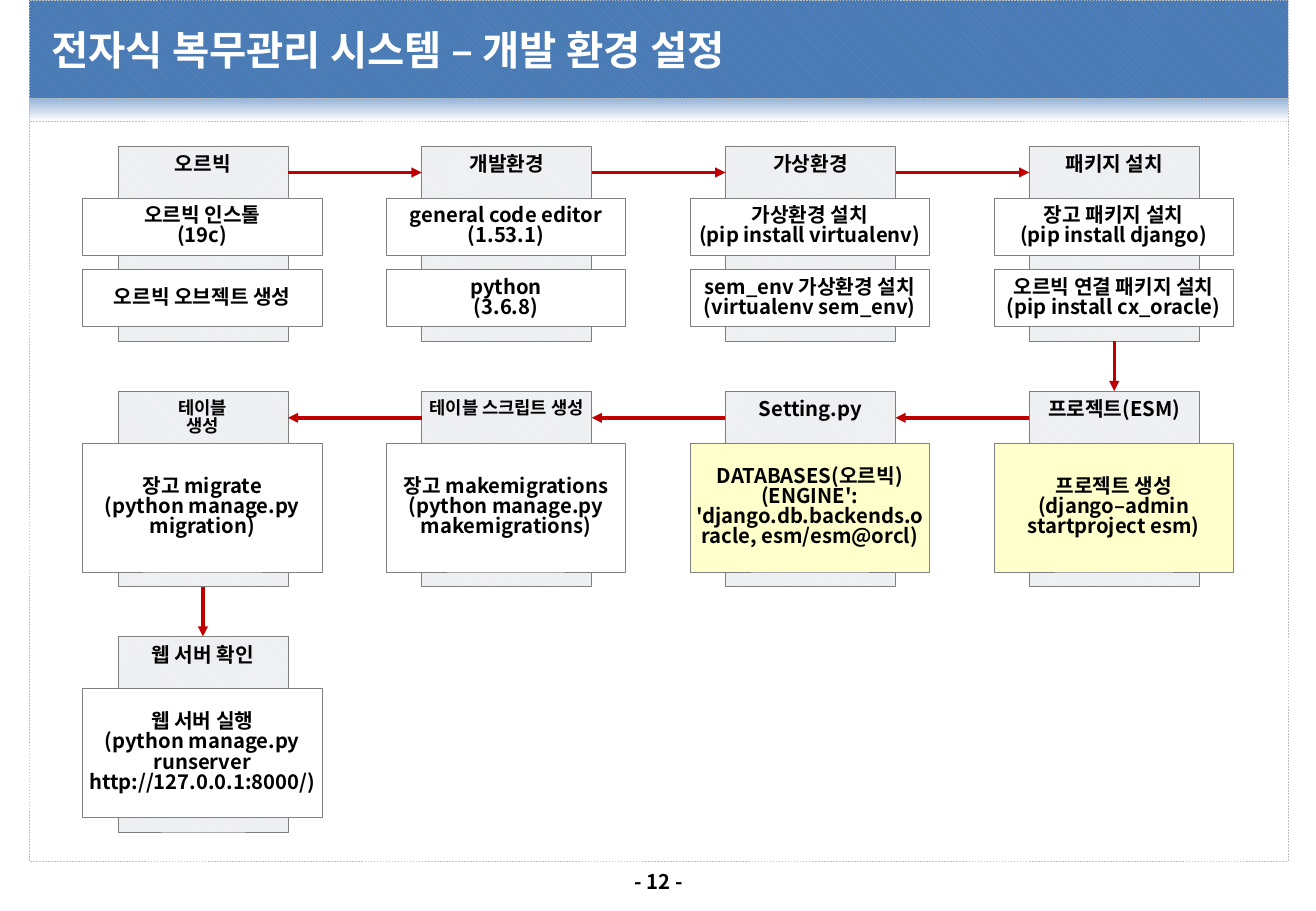
"""Build the development environment setup flow slide."""
from lxml import etree
from pptx import Presentation
from pptx.dml.color import RGBColor
from pptx.enum.dml import MSO_LINE, MSO_PATTERN
from pptx.enum.shapes import MSO_CONNECTOR, MSO_SHAPE
from pptx.enum.text import MSO_ANCHOR, PP_ALIGN
from pptx.oxml.ns import qn
from pptx.util import Inches, Pt

RECT, LINE = MSO_SHAPE.RECTANGLE, MSO_CONNECTOR.STRAIGHT
HATCH, DASH = MSO_PATTERN.LIGHT_DOWNWARD_DIAGONAL, MSO_LINE.DASH
TOP, MID = MSO_ANCHOR.TOP, MSO_ANCHOR.MIDDLE
LEFT, MIDST = PP_ALIGN.LEFT, PP_ALIGN.CENTER
FONT = "Noto Sans CJK KR"
HEX = {"white": "FFFFFF", "black": "000000", "edge": "BFBFBF", "grey": "808080",
       "navy": "376092", "blue": "4F81BD", "sky": "95B3D7", "red": "C00000",
       "pale": "DCE6F2", "light": "F2F2F2", "cream": "FFFFCC"}
RGB = {name: RGBColor.from_string(code) for name, code in HEX.items()}


def write(shape, lines, size=12, color="black", align=MIDST, anchor=MID,
          side=0.04, pad=0.04, wrap=True, space=0.83):
    frame = shape.text_frame
    frame.text = "\n".join(lines)
    frame.word_wrap, frame.vertical_anchor = wrap, anchor
    frame.margin_left = frame.margin_right = Inches(side)
    frame.margin_top = frame.margin_bottom = Inches(pad)
    for para in frame.paragraphs:
        para.alignment, para.line_spacing = align, space
        for run in para.runs:
            font = run.font
            font.size, font.bold, font.name = Pt(size), True, FONT
            font.color.rgb = RGB[color]
            etree.SubElement(font._element, qn("a:ea"), typeface=FONT)


def block(shapes, x, y, w, h, fill="white", back=None, edge="grey", dash=None):
    shape = shapes.add_shape(RECT, Inches(x), Inches(y), Inches(w), Inches(h))
    shape.shadow.inherit = False
    if back:
        shape.fill.patterned()
        shape.fill.pattern = HATCH
        shape.fill.fore_color.rgb, shape.fill.back_color.rgb = RGB[fill], RGB[back]
    else:
        shape.fill.solid()
        shape.fill.fore_color.rgb = RGB[fill]
    shape.line.color.rgb, shape.line.width = RGB[edge], Pt(0.25)
    shape.line.dash_style = dash
    return shape


deck = Presentation()
deck.slide_width, deck.slide_height = Inches(10.83), Inches(7.5)
slide = deck.slides.add_slide(deck.slide_layouts[5])
shapes = slide.shapes

block(shapes, 0.24, 1, 10.36, 6.09, edge="edge", dash=DASH)
band = block(shapes, 0.24, 0, 10.36, 0.81, "navy", "blue", "edge", DASH)
band.rotation = 180
fade = block(shapes, 0.24, 0.81, 10.36, 0.19, edge="edge", dash=DASH)
fade.fill.gradient()
fade.fill.gradient_angle = 270
for stop, name in zip(fade.fill.gradient_stops, ("sky", "white")):
    stop.color.rgb = RGB[name]

title = shapes.title
title.left, title.top = Inches(0.38), Inches(0.08)
title.width, title.height = Inches(10.09), Inches(0.66)
write(title, ["전자식 복무관리 시스템 – 개발 환경 설정"], size=24, color="white",
      align=LEFT, space=1)
shapes._spTree.append(title._element)

page = shapes.add_textbox(Inches(5.08), Inches(7.14), Inches(0.68), Inches(0.3))
write(page, ["- 12 -"], anchor=TOP, side=0.1, pad=0.05, wrap=False)

STEPS = [
    (0, 0, ["오르빅"], 12, "white",
     [["오르빅 인스톨", "(19c)"], ["오르빅 오브젝트 생성"]]),
    (1, 0, ["개발환경"], 12, "white",
     [["general code editor", "(1.53.1)"], ["python", "(3.6.8)"]]),
    (2, 0, ["가상환경"], 12, "white",
     [["가상환경 설치", "(pip install virtualenv)"],
      ["sem_env 가상환경 설치", "(virtualenv sem_env)"]]),
    (3, 0, ["패키지 설치"], 12, "white",
     [["장고 패키지 설치", "(pip install django)"],
      ["오르빅 연결 패키지 설치", "(pip install cx_oracle)"]]),
    (3, 1, ["프로젝트(ESM)"], 12, "cream",
     [["프로젝트 생성", "(django–admin startproject esm)"]]),
    (2, 1, ["Setting.py"], 12, "cream",
     [["DATABASES(오르빅)",
       "(ENGINE': 'django.db.backends.oracle, esm/esm@orcl)"]]),
    (1, 1, ["테이블 스크립트 생성"], 10.5, "white",
     [["장고 makemigrations", "(python manage.py makemigrations)"]]),
    (0, 1, ["테이블", "생성"], 10.5, "white",
     [["장고 migrate", "(python manage.py migration)"]]),
    (0, 2, ["웹 서버 확인"], 12, "white",
     [["웹 서버 실행", "(python manage.py runserver", "http://127.0.0.1:8000/)"]]),
]
X, Y, DX, DY = 0.97, 1.2, 2.5, 2.02
WIDE, HIGH = 1.4, 1.61

for col, row, head, size, fill, items in STEPS:
    x, y = X + DX * col, Y + DY * row
    group = shapes.add_group_shape().shapes
    card = block(group, x, y, WIDE, HIGH, "pale", "light")
    write(card, head, size=size, anchor=TOP, pad=0.08, wrap=False)
    tall = 0.47 if len(items) == 2 else 1.06
    for i, lines in enumerate(items):
        box = block(group, x - 0.29, y + 0.43 + 0.59 * i, 1.97, tall, fill)
        write(box, lines, wrap=len(items) == 1)

for (c1, r1, *_), (c2, r2, *_) in zip(STEPS, STEPS[1:]):
    x1, x2 = X + DX * c1, X + DX * c2
    y1, y2 = Y + DY * r1, Y + DY * r2
    if r1 != r2:
        ends = x1 + WIDE / 2, y1 + HIGH, x2 + WIDE / 2, y2
    elif c1 < c2:
        ends = x1 + WIDE, y1 + 0.22, x2, y2 + 0.22
    else:
        ends = x1, y1 + 0.22, x2 + WIDE, y2 + 0.22
    arrow = shapes.add_connector(LINE, *map(Inches, ends))
    arrow.line.color.rgb, arrow.line.width = RGB["red"], Pt(2)
    etree.SubElement(arrow.line._get_or_add_ln(), qn("a:tailEnd"), type="triangle")
    etree.SubElement(arrow._element.spPr, qn("a:effectLst"))

deck.save("out.pptx")
